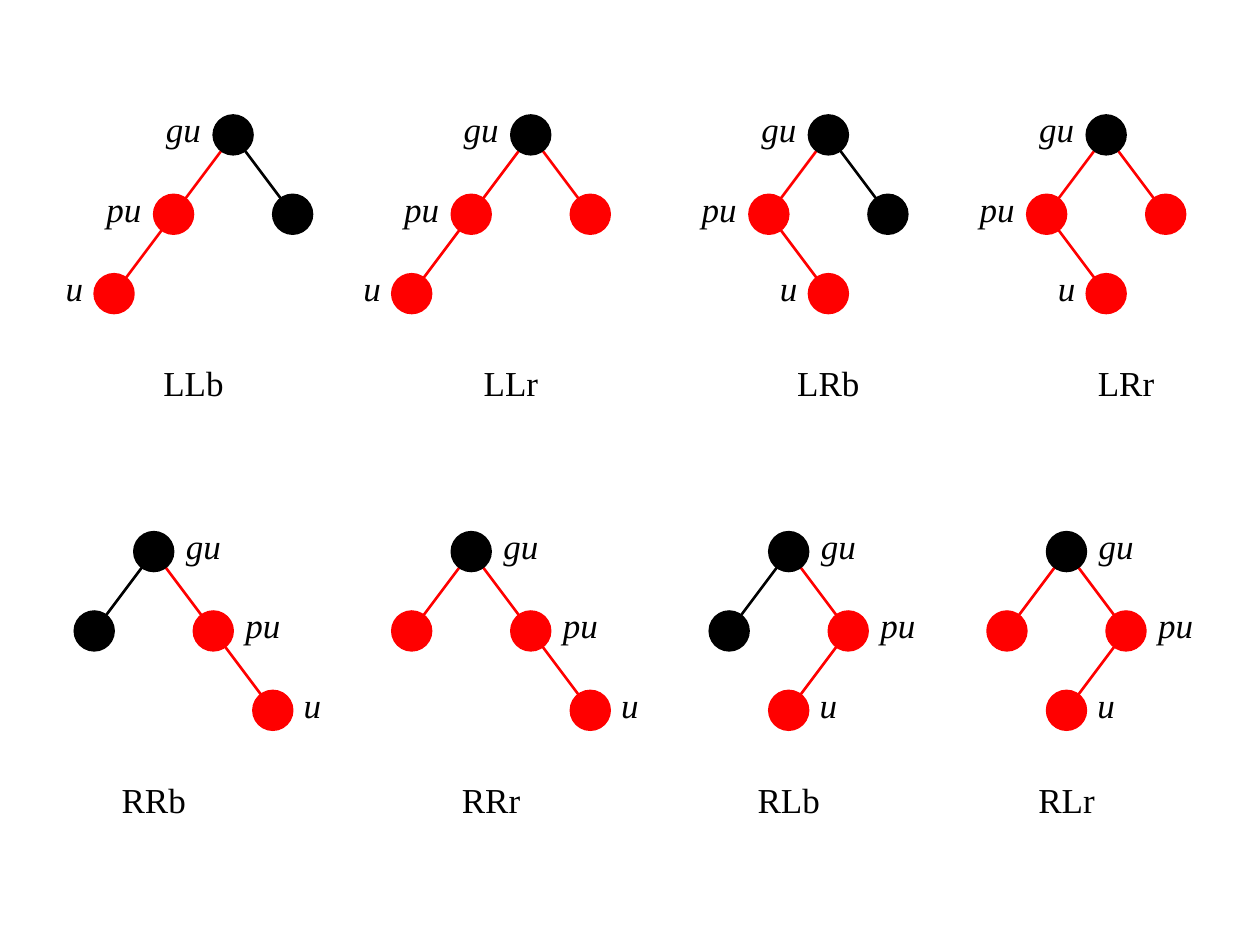
import pptx
import pptx.util
from pptx.dml.color import RGBColor
from pptx.enum.shapes import MSO_CONNECTOR, MSO_SHAPE
from pptx.enum.text import MSO_ANCHOR, PP_ALIGN
from pptx.oxml.ns import qn
from lxml import etree

RED = RGBColor(0xFF, 0x00, 0x00)
BLACK = RGBColor(0x00, 0x00, 0x00)
WHITE = RGBColor(0xFF, 0xFF, 0xFF)
FONT = "Times New Roman"

# Imbalance cases: name, root column, caption column.
# The name gives the side of pu, the side of u and the colour of gu's other child.
ROWS = [
    (6.8, [("LLb", 11.75, 9.75), ("LLr", 26.75, 25.75),
           ("LRb", 41.75, 41.75), ("LRr", 55.75, 56.75)]),
    (27.8, [("RRb", 7.75, 7.75), ("RRr", 23.75, 24.75),
            ("RLb", 39.75, 39.75), ("RLr", 53.75, 53.75)]),
]
SIDE = {"L": -1, "R": 1}
COLOUR = {"b": BLACK, "r": RED}

# Sizes in grid cells
STEP_X, STEP_Y = 3, 4
NODE = 2
LABEL_W = {"gu": 3, "pu": 3, "u": 2}
CAPTION_W, CAPTION_H, CAPTION_DROP = 4, 3, 12.5

prs = pptx.Presentation()
prs.slide_width = pptx.util.Inches(10)
prs.slide_height = pptx.util.Inches(7.5)
s = prs.slides.add_slide(prs.slide_layouts[6])


def cells(n):
    return pptx.util.Mm(4 * n)


def centred(x, y, w, h):
    """Left, top, width and height of a box centred on a grid point."""
    return cells(x - w / 2), cells(y - h / 2), cells(w), cells(h)


def add_text(text, box, italic=False, fill=None, anchor=MSO_ANCHOR.MIDDLE, bottom=0.05):
    sp = s.shapes.add_textbox(*box)
    if fill is not None:
        sp.fill.solid()
        sp.fill.fore_color.rgb = fill
    tf = sp.text_frame
    tf.word_wrap = False
    tf.vertical_anchor = anchor
    tf.margin_left = tf.margin_right = tf.margin_top = 0
    tf.margin_bottom = pptx.util.Inches(bottom)
    if anchor == MSO_ANCHOR.MIDDLE:
        tf.margin_top = tf.margin_bottom
    p = tf.paragraphs[0]
    p.alignment = PP_ALIGN.CENTER
    r = p.add_run()
    r.text = text
    r.font.name, r.font.size = FONT, pptx.util.Pt(20)
    r.font.italic = italic
    r.font.color.rgb = BLACK


def add_edge(start, end, colour):
    line = s.shapes.add_connector(
        MSO_CONNECTOR.STRAIGHT, *[cells(v) for v in start + end])
    line.line.color.rgb = colour
    line.line.width = pptx.util.Pt(1.5)
    etree.SubElement(line._element.spPr, qn("a:effectLst"))


def add_node(centre, colour):
    sp = s.shapes.add_shape(MSO_SHAPE.OVAL, *centred(*centre, NODE, NODE))
    sp.shadow.inherit = False
    sp.fill.solid()
    sp.fill.fore_color.rgb = colour
    sp.line.color.rgb = colour
    sp.line.width = pptx.util.Pt(1)


def add_tree(name, x, y, caption_x):
    side, turn = SIDE[name[0]], SIDE[name[1]]
    other_colour = COLOUR[name[2]]
    gu = (x, y)
    pu = (x + side * STEP_X, y + STEP_Y)
    other = (x - side * STEP_X, y + STEP_Y)
    u = (pu[0] + turn * STEP_X, y + 2 * STEP_Y)

    # Edges
    add_edge(gu, pu, RED)
    add_edge(pu, u, RED)
    add_edge(gu, other, other_colour)

    # Labels on the outer side of the path
    for text, (cx, cy) in (("gu", gu), ("pu", pu), ("u", u)):
        w = LABEL_W[text]
        add_text(text, centred(cx + side * (NODE + w) / 2, cy, w, NODE),
                 italic=True, fill=WHITE, anchor=MSO_ANCHOR.BOTTOM, bottom=0.04)

    # Nodes
    for centre, colour in ((gu, BLACK), (pu, RED), (u, RED), (other, other_colour)):
        add_node(centre, colour)

    # Case name
    add_text(name, centred(caption_x, y + CAPTION_DROP, CAPTION_W, CAPTION_H))


for root_y, cases in ROWS:
    for name, root_x, caption_x in cases:
        add_tree(name, root_x, root_y, caption_x)

prs.save("out.pptx")
